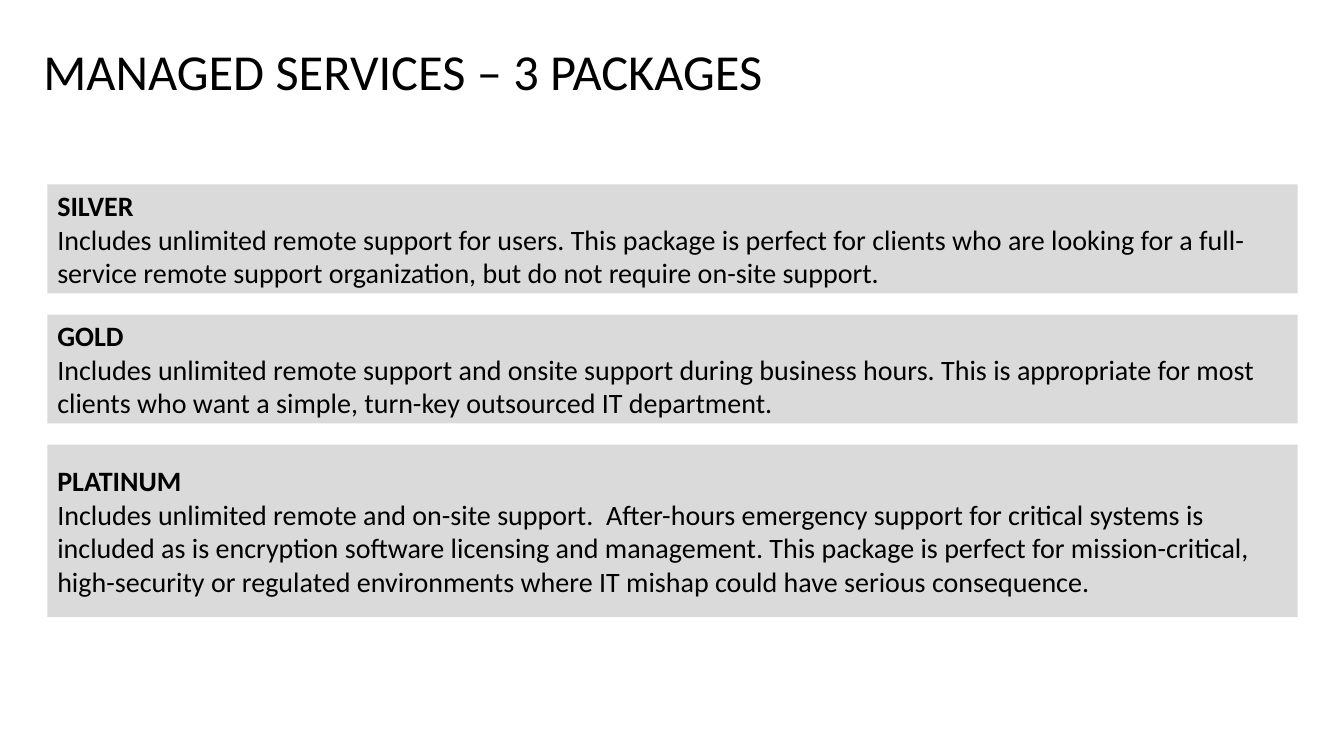
"""Build the slide that describes the three managed services packages."""
from pptx import Presentation
from pptx.dml.color import RGBColor
from pptx.enum.shapes import MSO_SHAPE
from pptx.enum.text import MSO_ANCHOR, MSO_AUTO_SIZE, PP_ALIGN
from pptx.util import Inches, Pt

RECTANGLE = MSO_SHAPE.RECTANGLE
TOP, MIDDLE = MSO_ANCHOR.TOP, MSO_ANCHOR.MIDDLE
NO_AUTOFIT = MSO_AUTO_SIZE.NONE
LEFT = PP_ALIGN.LEFT

BLACK = RGBColor(0x00, 0x00, 0x00)
PANEL_GRAY = RGBColor(0xDA, 0xDA, 0xDA)
FONT = "Calibri"

TITLE = "MANAGED SERVICES – 3 PACKAGES"
PACKAGES = [
    ("SILVER",
     "Includes unlimited remote support for users. This package is perfect for "
     "clients who are looking for a full-service remote support organization, "
     "but do not require on-site support.", 1.08),
    ("GOLD",
     "Includes unlimited remote support and onsite support during business "
     "hours. This is appropriate for most clients who want a simple, turn-key "
     "outsourced IT department.", 1.08),
    ("PLATINUM",
     "Includes unlimited remote and on-site support.  After-hours emergency "
     "support for critical systems is included as is encryption software "
     "licensing and management. This package is perfect for mission-critical, "
     "high-security or regulated environments where IT mishap could have "
     "serious consequence.", 1.71),
]
PANEL_LEFT, PANEL_TOP, PANEL_WIDTH, PANEL_GAP = 0.47, 1.83, 12.4, 0.21


def write_text(paragraph, text, size=20, bold=False, line_spacing=1.0):
    """Write one left-aligned paragraph in the slide's font."""
    paragraph.text = text
    paragraph.alignment = LEFT
    paragraph.line_spacing = line_spacing
    font = paragraph.font
    font.name, font.size, font.bold = FONT, Pt(size), bold
    font.color.rgb = BLACK


def add_title(slide):
    """Place and fill the title placeholder."""
    title = slide.shapes.title
    title.left, title.top = Inches(0.33), Inches(0.42)
    title.width, title.height = Inches(9.11), Inches(0.94)
    frame = title.text_frame
    frame.auto_size = NO_AUTOFIT
    frame.word_wrap = True
    frame.vertical_anchor = TOP
    write_text(frame.paragraphs[0], TITLE, size=36, line_spacing=0.9)


def add_panel(slide, top, height, name, description):
    """Add one package panel."""
    panel = slide.shapes.add_shape(
        RECTANGLE, Inches(PANEL_LEFT), Inches(top),
        Inches(PANEL_WIDTH), Inches(height))
    panel.shadow.inherit = False
    panel.fill.solid()
    panel.fill.fore_color.rgb = PANEL_GRAY
    panel.line.fill.background()
    frame = panel.text_frame
    frame.word_wrap = True
    frame.vertical_anchor = MIDDLE
    write_text(frame.paragraphs[0], name, bold=True)
    write_text(frame.add_paragraph(), description)


def main():
    """Create and save the presentation."""
    presentation = Presentation()
    presentation.slide_width = Inches(13.33)
    presentation.slide_height = Inches(7.5)
    slide = presentation.slides.add_slide(presentation.slide_layouts[5])
    add_title(slide)
    top = PANEL_TOP
    for name, description, height in PACKAGES:
        add_panel(slide, top, height, name, description)
        top += height + PANEL_GAP
    presentation.save("out.pptx")


if __name__ == "__main__":
    main()
